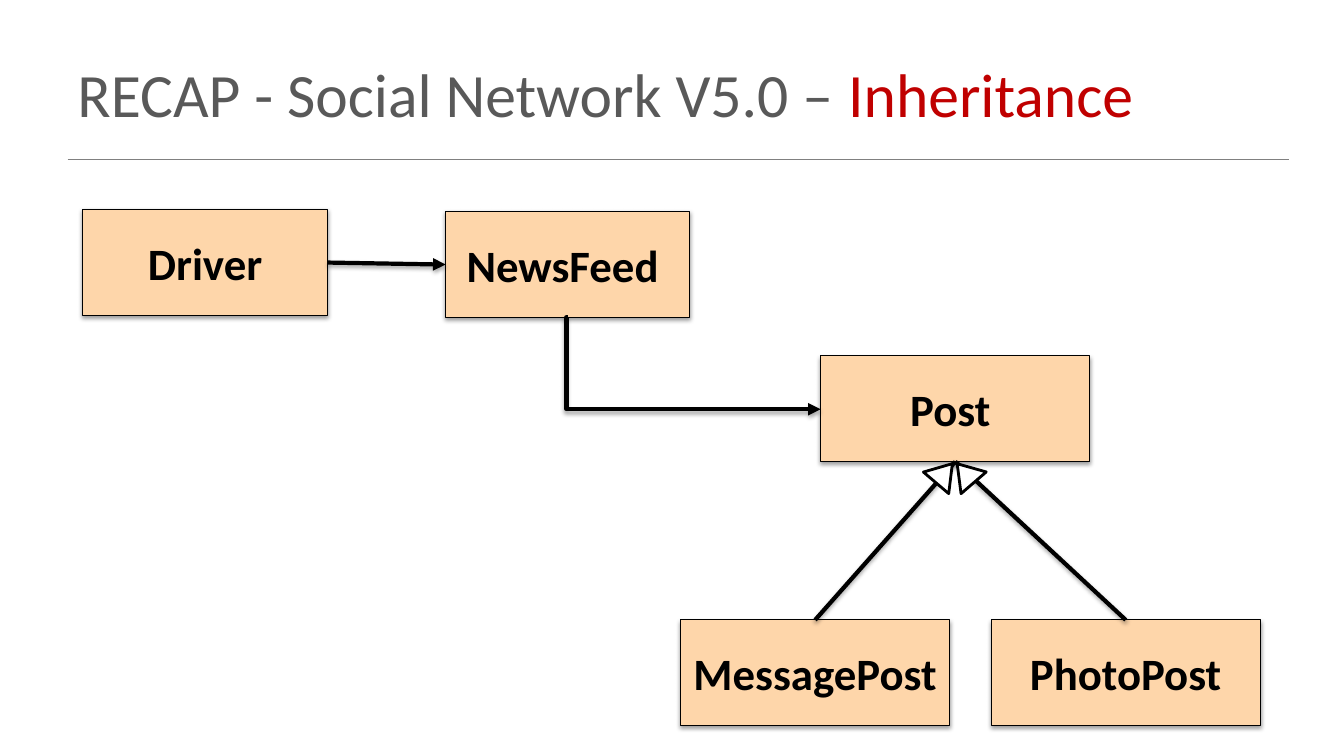
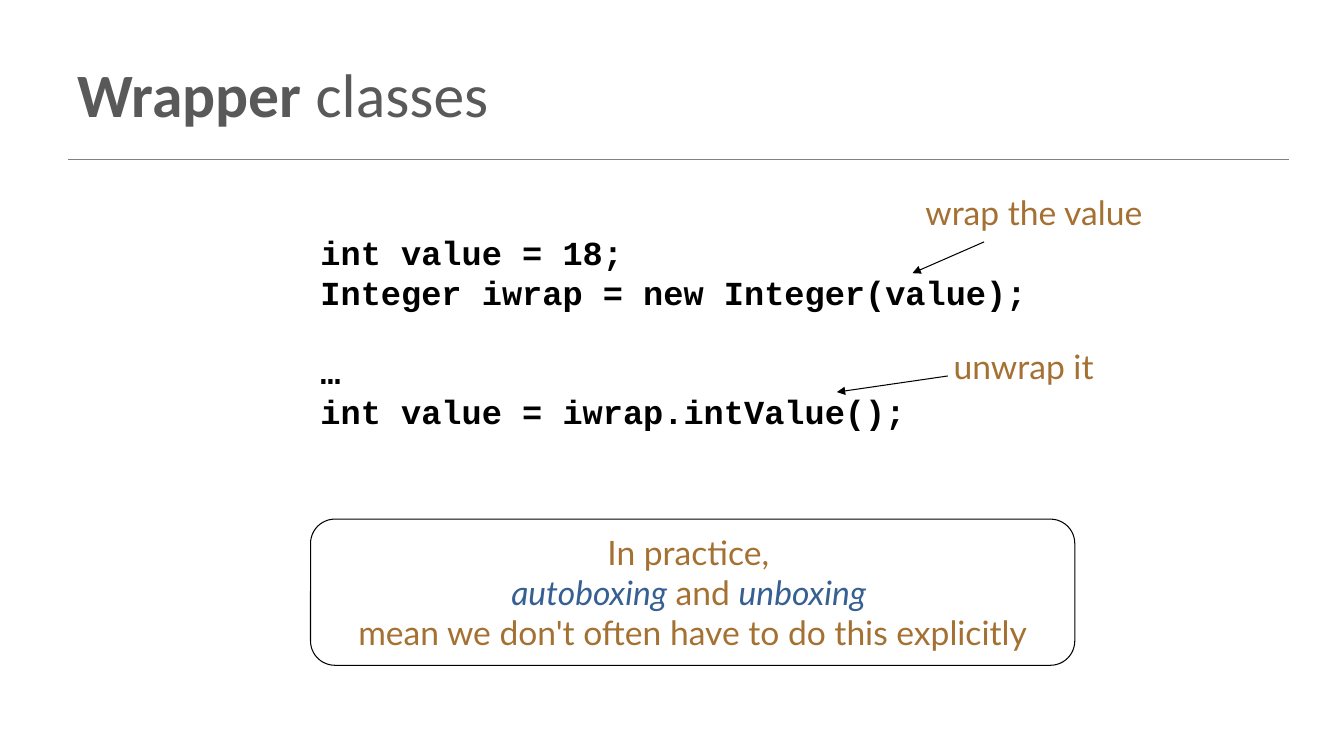
"""Build two slides: a class diagram recap and the wrapper classes example."""
import pptx
import pptx.dml.color
import pptx.enum.shapes
import pptx.enum.text
import pptx.oxml
import pptx.oxml.ns
import pptx.util

RGB = pptx.dml.color.RGBColor.from_string
KIND = pptx.enum.shapes.MSO_SHAPE
LINK = pptx.enum.shapes.MSO_CONNECTOR
ALIGN = pptx.enum.text.PP_ALIGN
MIDDLE = pptx.enum.text.MSO_ANCHOR.MIDDLE
PX = 9144


class Theme:
    ink = RGB("000000")
    paper = RGB("FFFFFF")
    head = RGB("595959")
    rule = RGB("808080")
    red = RGB("C00000")
    peach = RGB("FED6AA")
    tan = RGB("A57133")
    blue = RGB("376092")
    sans, mono, note = "Calibri", "Courier New", "Lato"
    title, label, body = 44, 32, 24
    thin, edge, bold = 1, 0.75, 3
    glow = (
        '<a:outerShdw xmlns:a="http://schemas.openxmlformats.org/drawingml/2006/main"'
        ' blurRad="40000" dist="{}" dir="5400000" rotWithShape="0">'
        '<a:srgbClr val="000000"><a:alpha val="{}"/></a:srgbClr></a:outerShdw>'
    )


def text(shape, paras, size=Theme.body, font=Theme.note, color=Theme.tan,
         bold=False, align=None, anchor=None):
    frame = shape.text_frame
    frame.word_wrap = True
    frame.vertical_anchor = anchor
    for i, parts in enumerate(paras):
        para = frame.add_paragraph() if i else frame.paragraphs[0]
        para.alignment = align
        for part in parts:
            if part == "\n":
                para.add_line_break()
                continue
            words, look = (part, {}) if isinstance(part, str) else part
            run = para.add_run()
            run.text = words
            run.font.size = pptx.util.Pt(size)
            run.font.name = font
            run.font.bold = look.get("bold", bold)
            run.font.italic = look.get("italic", False)
            run.font.color.rgb = look.get("color", color)


def draw(slide, ends, width, color=Theme.ink, kind=LINK.STRAIGHT, arrow=False, glow=False):
    line = slide.shapes.add_connector(kind, *[n * PX for n in ends])
    line.line.color.rgb = color
    line.line.width = pptx.util.Pt(width)
    props = line._element.spPr
    if arrow:
        tail = props.find(pptx.oxml.ns.qn("a:ln")).makeelement(
            pptx.oxml.ns.qn("a:tailEnd"), {"type": "triangle"})
        props.find(pptx.oxml.ns.qn("a:ln")).append(tail)
    effect = props.makeelement(pptx.oxml.ns.qn("a:effectLst"), {})
    props.append(effect)
    if glow:
        effect.append(pptx.oxml.parse_xml(Theme.glow.format(23000, 35000)))
    return line


deck = pptx.Presentation()
deck.slide_width, deck.slide_height = 1333 * PX, 750 * PX

titles = [
    ["RECAP - Social Network V5.0 – ", ("Inheritance", {"color": Theme.red})],
    [("Wrapper", {"bold": True}), " classes"],
]
for title in titles:
    slide = deck.slides.add_slide(deck.slide_layouts[6])
    draw(slide, (67, 158, 1278, 158), Theme.thin, Theme.rule)
    box = slide.shapes.add_textbox(67 * PX, 30 * PX, 1200 * PX, 125 * PX)
    text(box, [title], Theme.title, Theme.sans, Theme.head, anchor=MIDDLE)
recap, wrap = deck.slides

nodes = {}
for name, left, top, width in [
    ("Driver", 82, 208, 243),
    ("NewsFeed ", 442, 210, 242),
    ("MessagePost ", 675, 615, 267),
    ("PhotoPost", 983, 615, 267),
    ("Post ", 814, 353, 267),
]:
    node = recap.shapes.add_shape(KIND.RECTANGLE, left * PX, top * PX, width * PX, 105 * PX)
    node.fill.solid()
    node.fill.fore_color.rgb = Theme.peach
    node.line.color.rgb = Theme.ink
    node.line.width = pptx.util.Pt(Theme.edge)
    node.shadow.inherit = False
    effect = node._element.spPr.find(pptx.oxml.ns.qn("a:effectLst"))
    effect.append(pptx.oxml.parse_xml(Theme.glow.format(20000, 38000)))
    text(node, [[name]], Theme.label, Theme.sans, Theme.ink, True, ALIGN.CENTER, MIDDLE)
    nodes[name.strip()] = node

for start, out, end, into, arrow in [
    ("Driver", 3, "NewsFeed", 1, True),
    ("MessagePost", 0, "Post", 2, False),
    ("PhotoPost", 0, "Post", 2, False),
]:
    line = draw(recap, (0, 0, 0, 0), Theme.bold, arrow=arrow, glow=True)
    line.begin_connect(nodes[start], out)
    line.end_connect(nodes[end], into)

elbow = draw(recap, (563, 315, 814, 406), Theme.bold, kind=LINK.ELBOW, arrow=True, glow=True)
shape = elbow._element.spPr.find(pptx.oxml.ns.qn("a:prstGeom"))
shape.get_or_add_avLst().append(shape.makeelement(
    pptx.oxml.ns.qn("a:gd"), {"name": "adj1", "fmla": "val -500"}))

for left, turn in [(920, 40.4), (941, 319.2)]:
    tip = recap.shapes.add_shape(KIND.ISOSCELES_TRIANGLE, left * PX, 457 * PX, 33 * PX, 25 * PX)
    tip.rotation = turn
    tip.fill.solid()
    tip.fill.fore_color.rgb = Theme.paper
    tip.line.color.rgb = Theme.ink
    tip.line.width = pptx.util.Pt(2)
    tip.shadow.inherit = False

for top, lines in [
    (225, [["int value = 18; "], ["Integer iwrap = new Integer(value);"]]),
    (343, [["…"], ["int value = iwrap.intValue();"]]),
]:
    code = wrap.shapes.add_textbox(308 * PX, top * PX, 742 * PX, 91 * PX)
    text(code, lines, font=Theme.mono, color=Theme.ink, bold=True, align=ALIGN.JUSTIFY)

for words, left, top, width, ends in [
    ("wrap the value", 908, 185, 283, (976, 240, 905, 271)),
    ("unwrap it", 936, 338, 194, (940, 373, 830, 389)),
]:
    note = wrap.shapes.add_textbox(left * PX, top * PX, width * PX, 50 * PX)
    text(note, [[words]])
    draw(wrap, ends, Theme.edge, arrow=True)

panel = wrap.shapes.add_shape(KIND.ROUNDED_RECTANGLE, 308 * PX, 515 * PX, 758 * PX, 145 * PX)
panel.fill.background()
panel.line.color.rgb = Theme.ink
panel.line.width = pptx.util.Pt(Theme.edge)
panel.shadow.inherit = False
term = {"color": Theme.blue, "italic": True}
text(panel, [[
    "In practice, ", "\n",
    ("autoboxing", term), " and ", ("unboxing ", term), "\n",
    "mean we don't often have to do this explicitly",
]], align=ALIGN.CENTER, anchor=MIDDLE)

deck.save("out.pptx")
